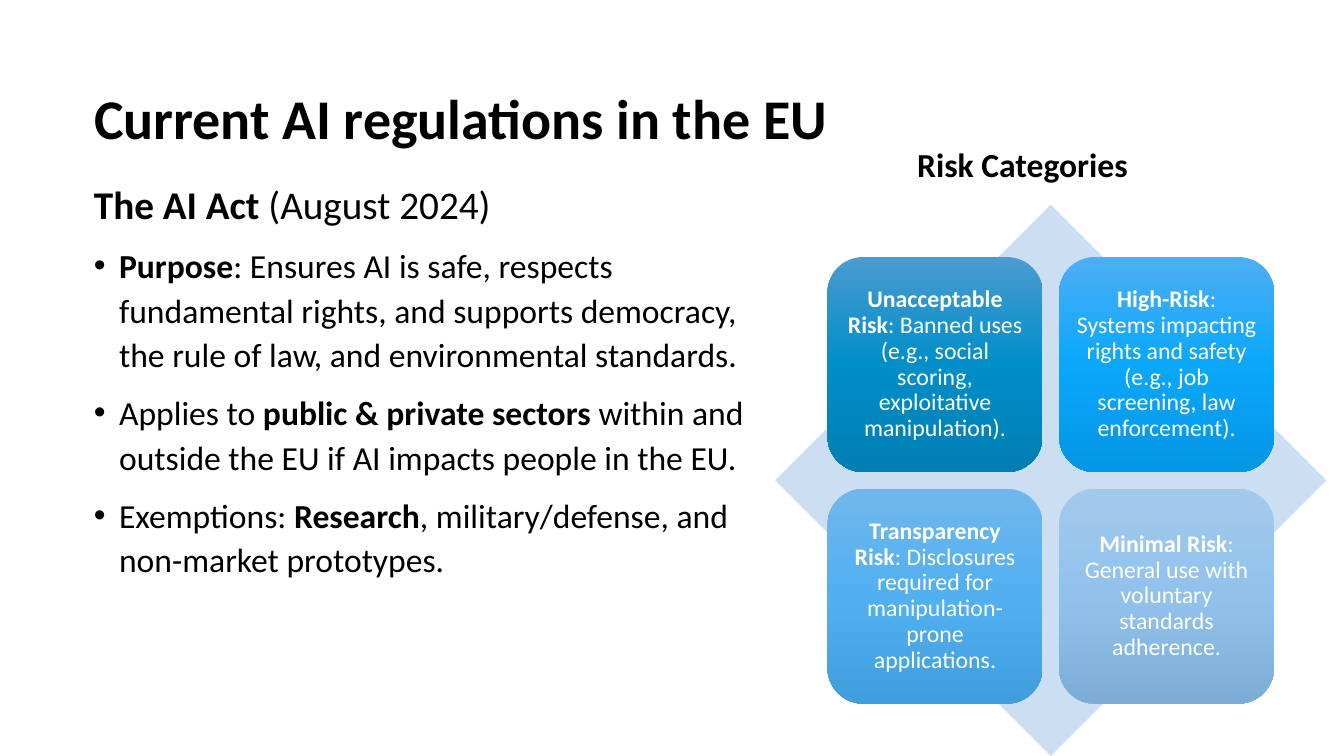
"""Build a slide on the EU rules for AI and their risk groups."""
from copy import deepcopy
from dataclasses import dataclass

from lxml.etree import SubElement
from pptx import Presentation
from pptx.dml.color import RGBColor
from pptx.enum.shapes import MSO_SHAPE
from pptx.enum.text import MSO_ANCHOR, PP_ALIGN
from pptx.oxml.ns import qn
from pptx.shapes.autoshape import Shape
from pptx.slide import Slide
from pptx.text.text import TextFrame, _Paragraph
from pptx.util import Inches, Pt

WIDE, HIGH = Inches(13.33), Inches(7.5)
COLS, ROWS = 160, 90
FONT = "Calibri"
BLACK = RGBColor(0x00, 0x00, 0x00)
WHITE = RGBColor(0xFF, 0xFF, 0xFF)
PALE = RGBColor(0xCC, 0xDF, 0xF2)
DEEP = (RGBColor(0x4B, 0x9B, 0xD0), RGBColor(0x00, 0x8E, 0xC9), RGBColor(0x00, 0x7F, 0xB2))
BRIGHT = (RGBColor(0x4D, 0xAE, 0xF4), RGBColor(0x0A, 0xA7, 0xFB), RGBColor(0x03, 0x96, 0xE5))
SKY = (RGBColor(0x70, 0xB7, 0xED), RGBColor(0x51, 0xB0, 0xF0), RGBColor(0x40, 0x9E, 0xDD))
MIST = (RGBColor(0xA3, 0xCA, 0xEC), RGBColor(0x91, 0xC2, 0xEC), RGBColor(0x7B, 0xAD, 0xD7))


@dataclass(frozen=True)
class Box:
    """A place on the slide, in grid columns and rows."""
    left: float
    top: float
    wide: float
    high: float

    def place(self) -> tuple[int, int, int, int]:
        """Return the place in slide units."""
        return (int(self.left * WIDE / COLS), int(self.top * HIGH / ROWS),
                int(self.wide * WIDE / COLS), int(self.high * HIGH / ROWS))


@dataclass(frozen=True)
class Span:
    """A run of text."""
    text: str
    bold: bool = False


@dataclass(frozen=True)
class Line:
    """A paragraph of the main text."""
    spans: tuple[Span, ...]
    size: int = 24
    dot: bool = True


@dataclass(frozen=True)
class Card:
    """A risk group and its shades from top to foot."""
    name: str
    text: str
    shades: tuple[RGBColor, ...]


TITLE = Box(10, 6.36, 141.24, 16.08)
BODY = Box(10, 19.32, 84.72, 51.24)
HEAD = Box(108, 16.08, 34.32, 6.24)
GEM = Box(92.28, 24.36, 65.64, 65.64)
INSET, SIDE, STEP = 0.095 * GEM.wide, 0.39 * GEM.wide, 0.42 * GEM.wide

LINES = (
    Line((Span("The AI Act ", True), Span("(August 2024)")), 28, False),
    Line((Span("Purpose", True),
          Span(": Ensures AI is safe, respects fundamental rights, and supports "
               "democracy, the rule of law, and environmental standards."))),
    Line((Span("Applies to "), Span("public & private sectors", True),
          Span(" within and outside the EU if AI impacts people in the EU."))),
    Line((Span("Exemptions: "), Span("Research", True),
          Span(", military/defense, and non-market prototypes."))),
)
CARDS = (
    Card("Unacceptable Risk",
         ": Banned uses (e.g., social scoring, exploitative manipulation).", DEEP),
    Card("High-Risk",
         ": Systems impacting rights and safety (e.g., job screening, law enforcement).", BRIGHT),
    Card("Transparency Risk",
         ": Disclosures required for manipulation-prone applications.", SKY),
    Card("Minimal Risk", ": General use with voluntary standards adherence.", MIST),
)


def write(para: _Paragraph, spans: tuple[Span, ...], size: int, shade: RGBColor = BLACK,
          lead: float = 1.1, align: PP_ALIGN = PP_ALIGN.LEFT) -> None:
    """Fill a paragraph run by run."""
    para.line_spacing, para.alignment = lead, align
    for span in spans:
        run = para.add_run()
        run.text = span.text
        font = run.font
        font.name, font.size, font.bold = FONT, Pt(size), span.bold
        font.color.rgb = shade


def add_dot(para: _Paragraph) -> None:
    """Give a paragraph a bullet and a hanging indent."""
    props = para._p.get_or_add_pPr()
    props.set("marL", str(Inches(0.25)))
    props.set("indent", str(-Inches(0.25)))
    SubElement(props, qn("a:buFont")).set("typeface", "Arial")
    SubElement(props, qn("a:buChar")).set("char", "•")


def add_text(slide: Slide, box: Box) -> TextFrame:
    """Add a text box that wraps."""
    frame = slide.shapes.add_textbox(*box.place()).text_frame
    frame.word_wrap = True
    return frame


def add_form(slide: Slide, kind: MSO_SHAPE, box: Box) -> Shape:
    """Add a shape with no line or shadow."""
    form = slide.shapes.add_shape(kind, *box.place())
    form.shadow.inherit = False
    form.line.fill.background()
    return form


def blend(form: Shape, shades: tuple[RGBColor, ...]) -> None:
    """Fill a shape with evenly spaced shades from top to foot."""
    fill = form.fill
    fill.gradient()
    fill.gradient_angle = 270
    first = next(form.element.iter(qn("a:gs")))
    for _ in shades[2:]:
        first.addnext(deepcopy(first))
    for rank, (stop, shade) in enumerate(zip(fill.gradient_stops, shades)):
        stop.position = rank / (len(shades) - 1)
        stop.color.rgb = shade


def add_card(slide: Slide, card: Card, rank: int) -> None:
    """Add one risk card to the two by two grid."""
    row, col = divmod(rank, 2)
    box = Box(GEM.left + INSET + col * STEP, GEM.top + INSET + row * STEP, SIDE, SIDE)
    form = add_form(slide, MSO_SHAPE.ROUNDED_RECTANGLE, box)
    blend(form, card.shades)
    frame = form.text_frame
    frame.word_wrap, frame.vertical_anchor = True, MSO_ANCHOR.MIDDLE
    frame.margin_left = frame.margin_right = Inches(0.07)
    frame.margin_top = frame.margin_bottom = Inches(0.07)
    write(frame.paragraphs[0], (Span(card.name, True), Span(card.text)), 17,
          WHITE, 0.9, PP_ALIGN.CENTER)


def add_body(slide: Slide) -> None:
    """Add the main text."""
    frame = add_text(slide, BODY)
    frame.vertical_anchor = MSO_ANCHOR.MIDDLE
    for rank, line in enumerate(LINES):
        para = frame.add_paragraph() if rank else frame.paragraphs[0]
        write(para, line.spans, line.size)
        para.space_before = Pt(10)
        if line.dot:
            add_dot(para)


def main() -> None:
    """Build and save the deck."""
    deck = Presentation()
    deck.slide_width, deck.slide_height = WIDE, HIGH
    slide = deck.slides.add_slide(deck.slide_layouts[5])
    title = slide.shapes.title
    title.left, title.top, title.width, title.height = TITLE.place()
    title.text_frame.vertical_anchor = MSO_ANCHOR.MIDDLE
    write(title.text_frame.paragraphs[0],
          (Span("Current AI regulations in the EU", True),), 40, lead=0.9)
    add_body(slide)
    gem = add_form(slide, MSO_SHAPE.DIAMOND, GEM)
    gem.fill.solid()
    gem.fill.fore_color.rgb = PALE
    for rank, card in enumerate(CARDS):
        add_card(slide, card, rank)
    write(add_text(slide, HEAD).paragraphs[0], (Span("Risk Categories", True),), 24)
    deck.save("out.pptx")


if __name__ == "__main__":
    main()
